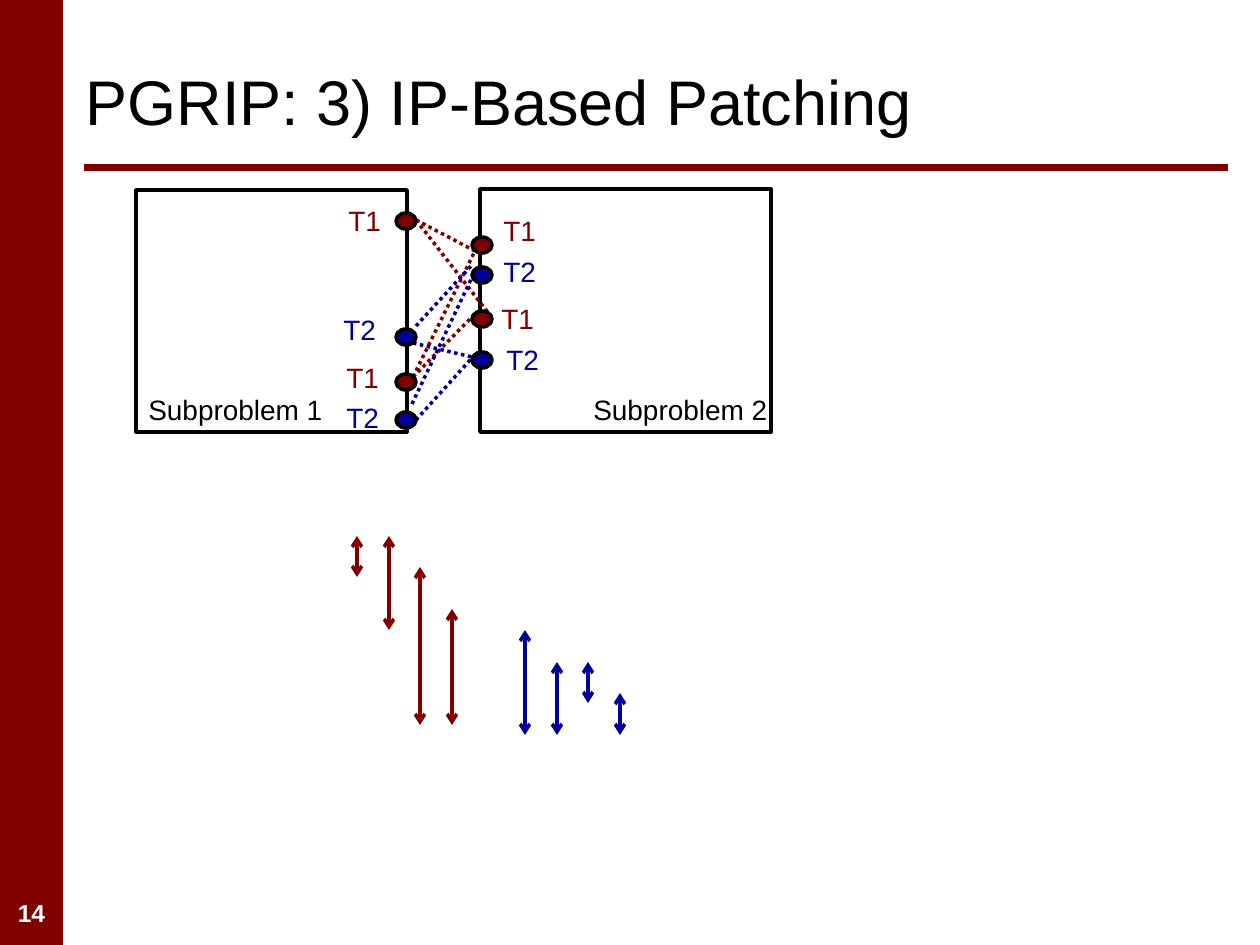
from lxml import etree
from pptx import Presentation
from pptx import util as u
from pptx.dml.color import RGBColor
from pptx.enum import dml, shapes, text
from pptx.oxml.ns import qn

SCALE = 914400 / 126  # EMU per px
COLORS = {"red": "800000", "blue": "000099", "black": "000000", "white": "FFFFFF"}
RGB = {name: RGBColor.from_string(value) for name, value in COLORS.items()}

prs = Presentation()
prs.slide_width, prs.slide_height = u.Inches(10), u.Inches(7.5)
slide = prs.slides.add_slide(prs.slide_layouts[5])


def add_line(ends, color, width=2, dotted=False, arrows=False):
    line = slide.shapes.add_connector(
        shapes.MSO_CONNECTOR.STRAIGHT, *(round(v * SCALE) for v in ends))
    line.line.color.rgb = RGB[color]
    line.line.width = u.Pt(width)
    if dotted:
        line.line.dash_style = dml.MSO_LINE.ROUND_DOT
    if arrows:
        for end in ("a:headEnd", "a:tailEnd"):
            etree.SubElement(line.line._get_or_add_ln(), qn(end), type="arrow")
    etree.SubElement(line._element.spPr, qn("a:effectLst"))


def add_label(words, box, color, size=16, bold=False, align=text.PP_ALIGN.LEFT):
    label = slide.shapes.add_textbox(*(round(v * SCALE) for v in box))
    label.text_frame.word_wrap = True
    paragraph = label.text_frame.paragraphs[0]
    paragraph.text = words
    paragraph.alignment = align
    fmt = {"name": "Arial", "size": u.Pt(size), "bold": bold}
    for key, value in fmt.items():
        setattr(paragraph.font, key, value)
    paragraph.font.color.rgb = RGB[color]


# Side band, slide number and rule under the title
band = slide.shapes.add_shape(
    shapes.MSO_SHAPE.RECTANGLE, 0, 0, round(63 * SCALE), prs.slide_height)
band.shadow.inherit = False
band.fill.solid()
band.fill.fore_color.rgb = RGB["red"]
band.line.fill.background()
add_line((84, 168, 1228, 168), "red", width=4)
add_label("14", (0, 892, 63, 42), "white", size=14, bold=True,
          align=text.PP_ALIGN.CENTER)

# Title
title = slide.shapes.title
for key, value in {"left": 73, "top": 32, "width": 1155, "height": 136}.items():
    setattr(title, key, round(value * SCALE))
title.text_frame.text = "PGRIP: 3) IP-Based Patching"
title.text_frame.vertical_anchor = text.MSO_ANCHOR.MIDDLE
heading = title.text_frame.paragraphs[0]
heading.alignment = text.PP_ALIGN.LEFT
for key, value in {"name": "Arial", "size": u.Pt(36)}.items():
    setattr(heading.font, key, value)
heading.font.color.rgb = RGB["black"]

# Subproblem frames
subproblems = [
    ("Subproblem 1", (136, 190, 271, 242), (136, 386, 199, 47)),
    ("Subproblem 2", (480, 189, 291, 243), (581, 386, 214, 47)),
]
for name, frame_box, name_box in subproblems:
    frame = slide.shapes.add_shape(
        shapes.MSO_SHAPE.RECTANGLE, *(round(v * SCALE) for v in frame_box))
    frame.shadow.inherit = False
    frame.fill.background()
    frame.line.color.rgb = RGB["black"]
    frame.line.width = u.Pt(2)
    add_label(name, name_box, "black")

# Candidate links between the two subproblems
links = {
    "red": [(413, 377, 475, 251), (416, 220, 493, 319),
            (416, 220, 475, 251), (413, 377, 475, 314)],
    "blue": [(416, 326, 472, 265), (412, 404, 475, 271),
             (416, 420, 472, 358), (413, 343, 472, 357)],
}
for color, ends_list in links.items():
    for ends in ends_list:
        add_line(ends, color, dotted=True)

# Boundary pins: net, dot left and top, label left and top
pins = [
    ("T1", 396, 213, 336, 197), ("T2", 396, 329, 331, 306),
    ("T1", 396, 374, 334, 354), ("T2", 396, 412, 334, 394),
    ("T1", 472, 237, 491, 207), ("T2", 472, 267, 491, 248),
    ("T1", 472, 311, 489, 295), ("T2", 472, 352, 494, 336),
]
net_colors = {"T1": "red", "T2": "blue"}
for net, x, y, label_x, label_y in pins:
    pin = slide.shapes.add_shape(
        shapes.MSO_SHAPE.OVAL, *(round(v * SCALE) for v in (x, y, 20, 16)))
    pin.shadow.inherit = False
    pin.fill.solid()
    pin.fill.fore_color.rgb = RGB[net_colors[net]]
    pin.line.color.rgb = RGB["black"]
    pin.line.width = u.Pt(2)
    add_label(net, (label_x, label_y, 70, 47), net_colors[net])

# Vertical spans of the links: first x, then top and bottom of each
spans = {
    "red": (357, [(536, 577), (536, 630), (567, 725), (609, 725)]),
    "blue": (525, [(630, 735), (662, 735), (662, 703), (693, 735)]),
}
for color, (first_x, ranges) in spans.items():
    for i, (top, bottom) in enumerate(ranges):
        x = first_x + round(i * 95 / 3)
        add_line((x, top, x, bottom), color, arrows=True)

prs.save("out.pptx")
